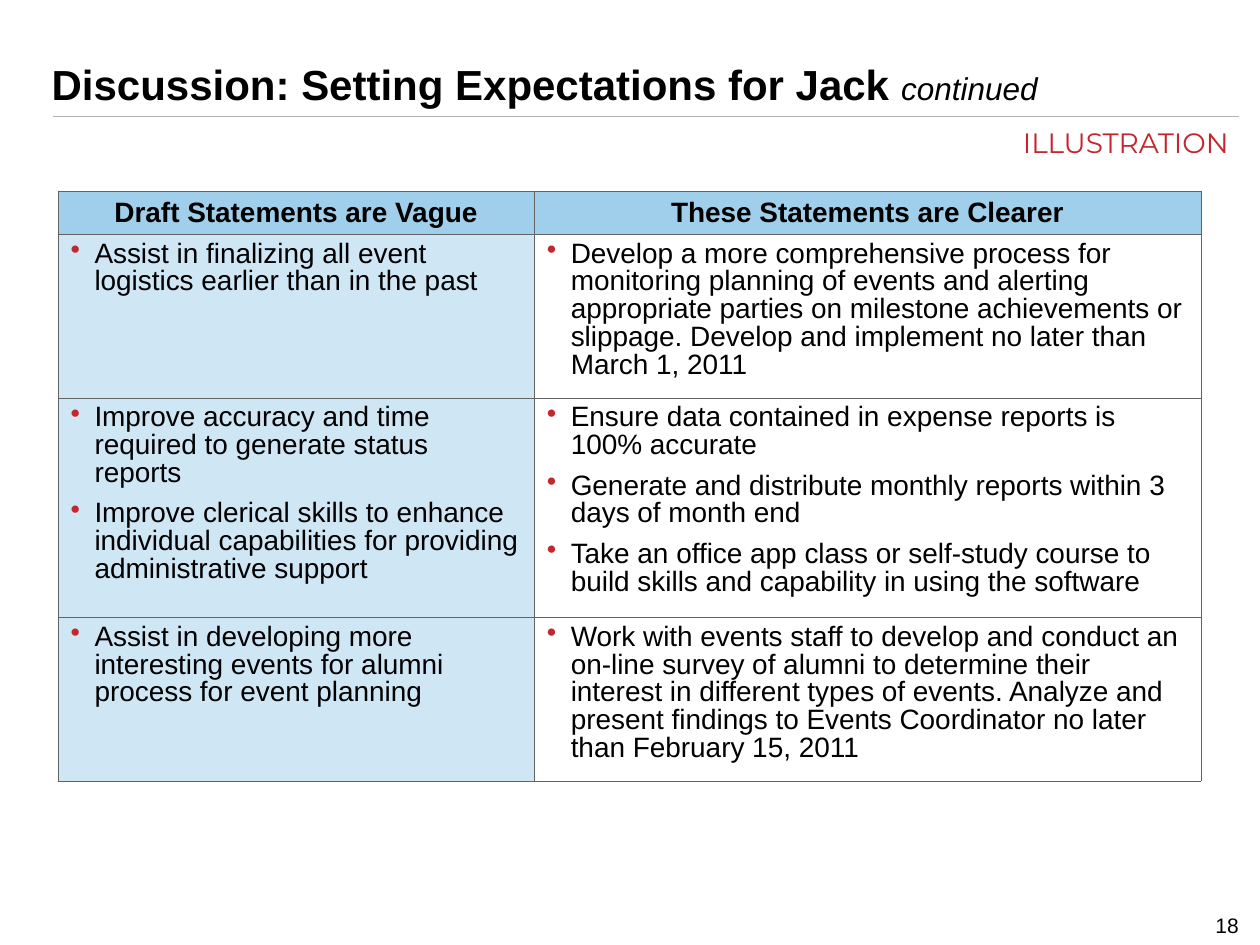
from lxml.etree import SubElement
from pptx import Presentation
from pptx.dml.color import RGBColor
from pptx.enum.text import MSO_ANCHOR, MSO_AUTO_SIZE, PP_ALIGN
from pptx.oxml.ns import qn
from pptx.util import Inches, Pt

COLORS = {"text": "000000", "accent": "C4262E", "header": "A0CFEB",
          "border": "616365", "rule": "B2B4B3", "shadow": "808080"}
HEADERS = ["Draft Statements are Vague", "These Statements are Clearer"]
STATEMENTS = [
    (["Assist in finalizing all event logistics earlier than in the past"],
     ["Develop a more comprehensive process for monitoring planning of events and "
      "alerting appropriate parties on milestone achievements or slippage. "
      "Develop and implement no later than March 1, 2011"]),
    (["Improve accuracy and time required to generate status reports",
      "Improve clerical skills to enhance individual capabilities for providing "
      "administrative support"],
     ["Ensure data contained in expense reports is 100% accurate",
      "Generate and distribute monthly reports within 3 days of month end",
      "Take an office app class or self-study course to build skills and "
      "capability in using the software"]),
    (["Assist in developing more interesting events for alumni process for event planning"],
     ["Work with events staff to develop and conduct an on-line survey of alumni to "
      "determine their interest in different types of events. Analyze and present "
      "findings to Events Coordinator no later than February 15, 2011"]),
]


def style(para, size, align=PP_ALIGN.LEFT, before=0, spacing=0.9,
          color="text", name="Arial", bold=False):
    para.alignment = align
    para.line_spacing = spacing
    para.space_before = Pt(before)
    para.font.size = Pt(size)
    para.font.name = name
    para.font.bold = bold
    para.font.color.rgb = RGBColor.from_string(COLORS[color])


def add_color(parent, color):
    return SubElement(parent, qn("a:srgbClr"), val=COLORS[color])


deck = Presentation()
deck.slide_width, deck.slide_height = Inches(10), Inches(7.5)
page = deck.slides.add_slide(deck.slide_layouts[5])

rule = page.shapes.add_connector(1, Inches(0.42), Inches(0.92), Inches(9.83), Inches(0.92))
rule.line.color.rgb = RGBColor.from_string(COLORS["rule"])
rule.line.width = Pt(0.25)
SubElement(rule._element.spPr, qn("a:effectLst"))

title = page.shapes.title
title.left, title.top = Inches(0.31), Inches(0.09)
title.width, title.height = Inches(9.5), Inches(0.83)
title.text_frame.vertical_anchor = MSO_ANCHOR.BOTTOM
title.text_frame.auto_size = MSO_AUTO_SIZE.NONE
para = title.text_frame.paragraphs[0]
style(para, 24)
for text, size, bold in [("Discussion: Setting Expectations for Jack ", 24, True),
                         ("continued", 18, False)]:
    span = para.add_run()
    span.text = text
    span.font.size = Pt(size)
    span.font.bold = bold
    span.font.italic = not bold

table = page.shapes.add_table(4, 2, Inches(0.46), Inches(1.52), Inches(9.07), Inches(4.68)).table
for column, width in zip(table.columns, [3.78, 5.29]):
    column.width = Inches(width)
for row, height in zip(table.rows, [0.34, 1.3, 1.74, 1.3]):
    row.height = Inches(height)

for row_index, row in enumerate([[[header] for header in HEADERS], *STATEMENTS]):
    for column_index, texts in enumerate(row):
        cell = table.cell(row_index, column_index)
        cell.vertical_anchor = MSO_ANCHOR.TOP if row_index else MSO_ANCHOR.BOTTOM
        cell.text = "\n".join(texts)
        for para in cell.text_frame.paragraphs:
            if row_index == 0:
                style(para, 16, PP_ALIGN.CENTER, 10 - 2 * column_index, bold=True)
                continue
            style(para, 16, before=7)
            props = para._p.get_or_add_pPr()
            props.set("marL", str(Inches(0.19)))
            props.set("indent", str(-Inches(0.19)))
            bullet_color = SubElement(props, qn("a:buClr"))
            add_color(bullet_color, "accent")
            bullet = SubElement(props, qn("a:buChar"), char="•")
            props.append(props.find(qn("a:defRPr")))

        cell_props = cell._tc.get_or_add_tcPr()
        for side in ("lnL", "lnR", "lnT", "lnB"):
            border = SubElement(cell_props, qn(f"a:{side}"), w=str(Pt(0.23)))
            add_color(SubElement(border, qn("a:solidFill")), "border")
        if row_index and column_index:
            cell.fill.background()
        else:
            cell.fill.solid()
            cell.fill.fore_color.rgb = RGBColor.from_string(COLORS["header"])
            if row_index:
                fill_color = cell_props.find(qn("a:solidFill"))[0]
                SubElement(fill_color, qn("a:alpha"), val="50000")

for text, left, top, width, height, size, color, name, before, spacing, anchor in [
    ("ILLUSTRATION", 6.89, 0.98, 2.96, 0.34, 16, "accent", "Montserrat", 10, 0.9, MSO_ANCHOR.TOP),
    ("18", 7.85, 7.16, 2.08, 0.33, 12, "text", "Arial", 0, 1.0, MSO_ANCHOR.BOTTOM),
]:
    box = page.shapes.add_textbox(Inches(left), Inches(top), Inches(width), Inches(height))
    box.text_frame.word_wrap = True
    box.text_frame.vertical_anchor = anchor
    para = box.text_frame.paragraphs[0]
    span = para.add_run()
    span.text = text
    style(para, size, PP_ALIGN.RIGHT, before, spacing, color, name)
    if color == "accent":
        effects = SubElement(span._r.get_or_add_rPr(), qn("a:effectLst"))
        shadow = SubElement(effects, qn("a:outerShdw"), dist=str(Pt(1.5)), dir="2700000")
        add_color(shadow, "shadow")

deck.save("out.pptx")
